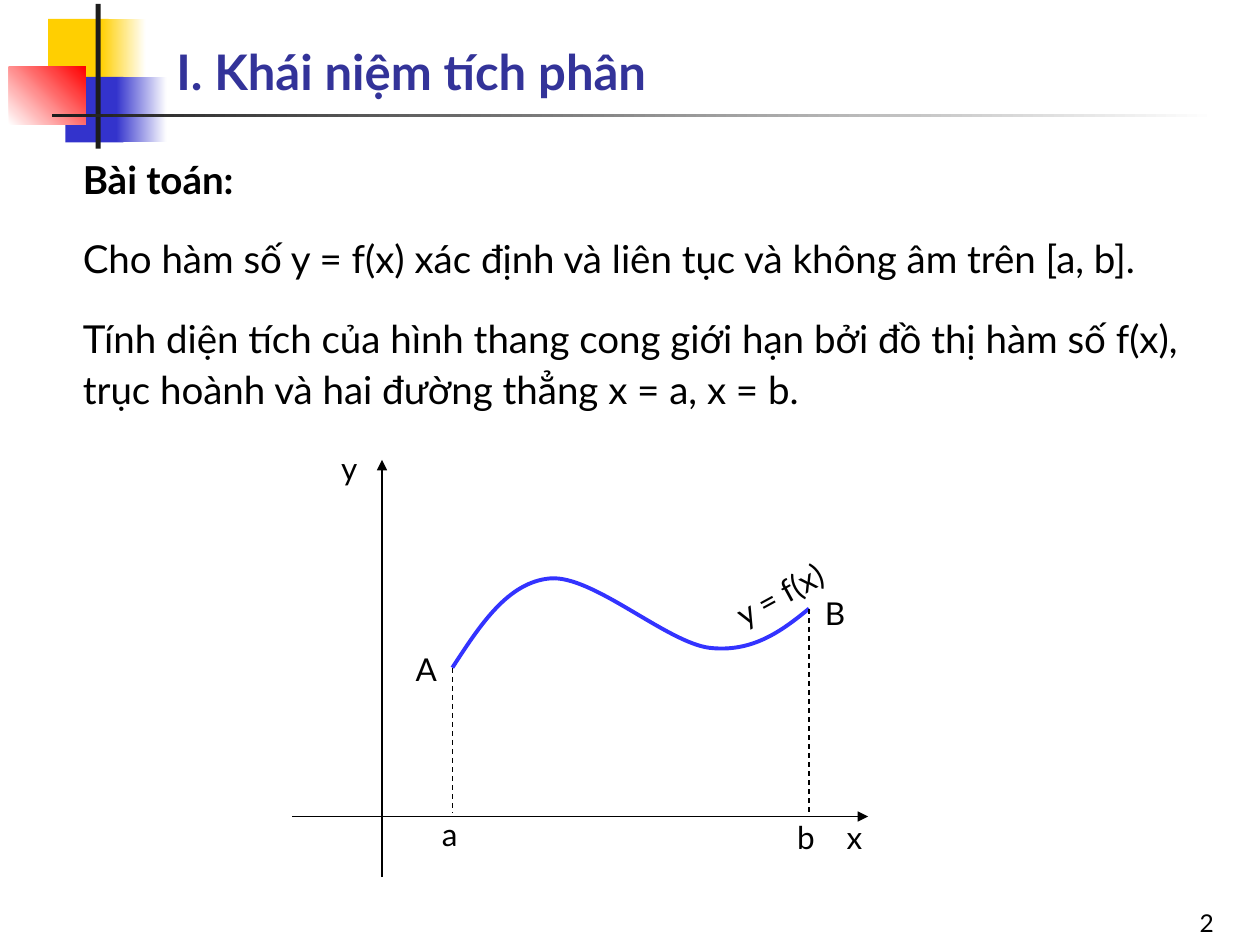
from lxml import etree
from pptx import Presentation
from pptx.dml.color import RGBColor
from pptx.enum import dml, shapes, text
from pptx.oxml.ns import qn
from pptx.util import Cm, Pt

rgb = RGBColor.from_string

prs = Presentation()
prs.slide_width, prs.slide_height = Cm(25.4), Cm(19.05)
s = prs.slides.add_slide(prs.slide_layouts[5])


def format_text(tf, size, color="000000", bold=False):
    for p in tf.paragraphs:
        for r in p.runs:
            r.font.name = "Lato"
            r.font.size = Pt(size)
            r.font.bold = bold
            r.font.color.rgb = rgb(color)


def add_line(x1, y1, x2, y2, dash=False, arrow=False):
    line = s.shapes.add_connector(shapes.MSO_CONNECTOR.STRAIGHT,
                                  Cm(x1), Cm(y1), Cm(x2), Cm(y2))
    line.line.color.rgb = rgb("000000")
    line.line.width = Pt(0.75)
    if dash:
        line.line.dash_style = dml.MSO_LINE.DASH
    if arrow:
        etree.SubElement(line.line._get_or_add_ln(), qn("a:tailEnd"), type="triangle")
    etree.SubElement(line._element.spPr, qn("a:effectLst"))


# Corner decoration and title rule: left, top, width, height, colours, angle
decoration = [
    (0.97, 0.38, 1.22, 1.32, ["FFCF01"], 0),
    (2.03, 0.38, 0.91, 1.32, ["FFCF01", "FFFFFF"], 0),
    (1.32, 1.55, 1.17, 1.32, ["3333CC"], 0),
    (2.34, 1.55, 1.02, 1.32, ["3333CC", "FFFFFF"], 0),
    (0.18, 1.35, 1.55, 1.17, ["FFFFFF", "FF0000"], 45),
    (1.93, 0.08, 0.1, 2.92, ["1C1C1C"], 0),
    (1.04, 2.29, 23.5, 0.08, ["1C1C1C", "FFFFFF"], 0),
]
for left, top, width, height, colors, angle in decoration:
    sp = s.shapes.add_shape(shapes.MSO_SHAPE.RECTANGLE,
                            Cm(left), Cm(top), Cm(width), Cm(height))
    sp.shadow.inherit = False
    sp.line.fill.background()
    if len(colors) == 1:
        sp.fill.solid()
        sp.fill.fore_color.rgb = rgb(colors[0])
    else:
        sp.fill.gradient()
        sp.fill.gradient_angle = angle
        for stop, color in zip(sp.fill.gradient_stops, colors):
            stop.color.rgb = rgb(color)

# Title, brought in front of the decoration
title = s.shapes.title
title.left, title.top, title.width, title.height = Cm(3.3), Cm(0.69), Cm(21.64), Cm(1.47)
s.shapes._spTree.append(title._element)
tf = title.text_frame
tf.text = "I. Khái niệm tích phân"
tf.vertical_anchor = text.MSO_ANCHOR.BOTTOM
tf.paragraphs[0].alignment = text.PP_ALIGN.LEFT
format_text(tf, 28, "333399", bold=True)

# Problem statement
tf = s.shapes.add_textbox(Cm(1.42), Cm(2.92), Cm(23.47), Cm(5.8)).text_frame
tf.word_wrap = True
tf.text = "\n".join([
    "Bài toán:",
    "Cho hàm số y = f(x) xác định và liên tục và không âm trên [a, b].",
    "Tính diện tích của hình thang cong giới hạn bởi đồ thị hàm số f(x), "
    "trục hoành và hai đường thẳng x = a, x = b.",
])
format_text(tf, 22)
for i, p in enumerate(tf.paragraphs):
    p.line_spacing = 1.1
    if i:
        p.space_before = Pt(16.5)
tf.paragraphs[0].runs[0].font.bold = True

# Axes
add_line(5.89, 16.46, 17.5, 16.46, arrow=True)
add_line(7.7, 17.68, 7.7, 9.27, arrow=True)

# Curve from A to B: start point, then three Bézier points per segment
curve_points = [
    (9.12, 13.46),
    (9.68, 12.6), (10.24, 11.73), (11.1, 11.66),
    (11.96, 11.6), (13.44, 12.95), (14.3, 13.06),
    (15.16, 13.16), (15.75, 12.73), (16.31, 12.27),
]
points = [(Cm(x), Cm(y)) for x, y in curve_points]
builder = s.shapes.build_freeform(*points[0])
builder.add_line_segments(points[1:], close=False)
curve = builder.convert_to_shape()
curve.shadow.inherit = False
curve.fill.background()
curve.line.color.rgb = rgb("3333FF")
curve.line.width = Pt(2.25)
outline = next(curve._element.iter(qn("a:path")))
steps = outline.findall(qn("a:lnTo"))
for i in range(0, len(steps), 3):
    bezier = etree.SubElement(outline, qn("a:cubicBezTo"))
    for step in steps[i:i + 3]:
        bezier.append(step[0])
        outline.remove(step)

# Dashed verticals at b and a
add_line(16.31, 12.27, 16.31, 16.46, dash=True)
add_line(9.12, 13.46, 9.12, 16.38, dash=True)

# Graph labels: text, left, top, width, rotation
labels = [
    ("y = f(x)", 14.45, 11.18, 3.61, 331.4),
    ("a", 8.66, 16.31, 2.13, 0),
    ("b", 15.82, 16.36, 0.9, 0),
    ("x", 16.82, 16.36, 0.9, 0),
    ("A", 8.13, 12.98, 2.13, 0),
    ("B", 16.38, 11.86, 2.13, 0),
    ("y", 6.63, 8.92, 2.13, 0),
]
for label, left, top, width, rotation in labels:
    sp = s.shapes.add_textbox(Cm(left), Cm(top), Cm(width), Cm(1.02))
    sp.rotation = rotation
    sp.text_frame.word_wrap = True
    sp.text_frame.text = label
    format_text(sp.text_frame, 18)

# Slide number
tf = s.shapes.add_textbox(Cm(23.5), Cm(18.03), Cm(1.22), Cm(0.99)).text_frame
tf.word_wrap = True
tf.vertical_anchor = text.MSO_ANCHOR.BOTTOM
tf.text = "2"
tf.paragraphs[0].alignment = text.PP_ALIGN.RIGHT
format_text(tf, 14)

prs.save("out.pptx")
